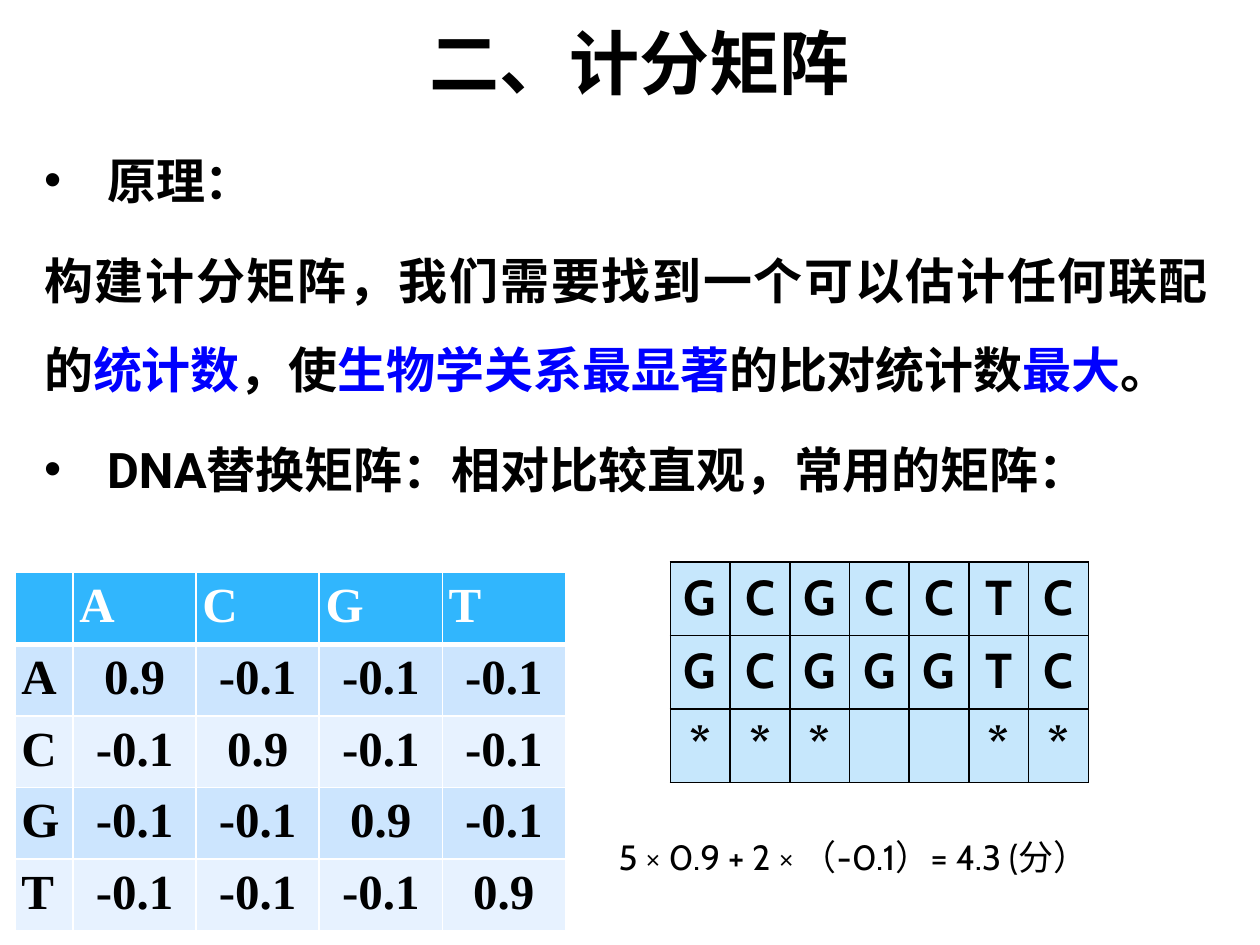
from lxml.etree import SubElement
from pptx import Presentation
from pptx.dml.color import RGBColor
from pptx.enum.text import MSO_ANCHOR, MSO_AUTO_SIZE, PP_ALIGN
from pptx.oxml.ns import qn
from pptx.util import Inches, Pt

BLACK = RGBColor(0x00, 0x00, 0x00)
WHITE = RGBColor(0xFF, 0xFF, 0xFF)
BLUE = RGBColor(0x00, 0x00, 0xFF)
HEADER_BLUE = RGBColor(0x31, 0xB6, 0xFD)
DARK_BAND = RGBColor(0xCC, 0xE5, 0xFE)
LIGHT_BAND = RGBColor(0xE7, 0xF2, 0xFF)
ALIGNMENT_BLUE = RGBColor(0xC6, 0xE7, 0xFC)

deck = Presentation()
deck.slide_width, deck.slide_height = Inches(10), Inches(7.5)
COLUMN = deck.slide_width / 100
ROW = deck.slide_height / 75
MARGIN = Inches(0.05)


def place(left, top, width, height):
    """Turn grid columns and rows into slide lengths."""
    return int(left * COLUMN), int(top * ROW), int(width * COLUMN), int(height * ROW)


def format_cell(cell, text, fill, font, color, align, line_color, line_widths):
    """Line widths are in points, in the order left, right, top, bottom."""
    properties = cell._tc.get_or_add_tcPr()
    for side, width in zip("LRTB", line_widths):
        line = SubElement(properties, qn(f"a:ln{side}"), w=str(Pt(width)))
        SubElement(SubElement(line, qn("a:solidFill")), qn("a:srgbClr"), val=str(line_color))
    cell.fill.solid()
    cell.fill.fore_color.rgb = fill
    cell.margin_left = cell.margin_right = cell.margin_top = cell.margin_bottom = MARGIN
    cell.text = text
    para = cell.text_frame.paragraphs[0]
    para.alignment = align
    para.font.size = Pt(28)
    for span in para.runs:
        span.font.name, span.font.size, span.font.bold = font, Pt(28), True
        span.font.color.rgb = color


page = deck.slides.add_slide(deck.slide_layouts[1])
title, body = page.placeholders
title.left, title.top, title.width, title.height = place(3.8, 0.5, 93.9, 8.2)
body.left, body.top, body.width, body.height = place(3, 9.1, 93.4, 34)
for box in (title, body):
    frame = box.text_frame
    frame.auto_size = MSO_AUTO_SIZE.NONE
    frame.margin_left = frame.margin_right = frame.margin_top = frame.margin_bottom = MARGIN

# Title
title.text_frame.text = "二、计分矩阵"
title.text_frame.vertical_anchor = MSO_ANCHOR.BOTTOM
para = title.text_frame.paragraphs[0]
para.alignment = PP_ALIGN.CENTER
font = para.runs[0].font
font.name, font.size, font.bold = "Times New Roman", Pt(40), True
font.color.rgb = BLACK

# Principle: (bulleted, [(text, color), ...])
points = [
    (True, [("原理：", BLACK)]),
    (False, [
        ("构建计分矩阵，我们需要找到一个可以估计任何联配的", BLACK),
        ("统计数", BLUE),
        ("，使", BLACK),
        ("生物学关系最显著", BLUE),
        ("的比对统计数", BLACK),
        ("最大", BLUE),
        ("。", BLACK),
    ]),
    (True, [("DNA替换矩阵：相对比较直观，常用的矩阵：", BLACK)]),
]
body.text_frame.vertical_anchor = MSO_ANCHOR.TOP
for index, (bulleted, spans) in enumerate(points):
    para = body.text_frame.add_paragraph() if index else body.text_frame.paragraphs[0]
    para.alignment = PP_ALIGN.JUSTIFY
    para.line_spacing, para.space_before = 1.5, Pt(7)
    indent = Inches(0.5) if bulleted else 0
    properties = para._p.get_or_add_pPr()
    properties.set("marL", str(indent))
    properties.set("indent", str(-indent))
    if bulleted:
        SubElement(properties, qn("a:buFont"), typeface="Arial")
        SubElement(properties, qn("a:buChar"), char="•")
    else:
        SubElement(properties, qn("a:buNone"))
    for text, color in spans:
        span = para.add_run()
        span.text = text
        span.font.name, span.font.size, span.font.bold = "Roboto", Pt(28), True
        span.font.color.rgb = color

# Substitution matrix: matches on the diagonal, mismatches elsewhere
bases = "ACGT"
scores = [["", *bases]]
scores += [[base] + ["0.9" if base == other else "-0.1" for other in bases] for base in bases]
matrix = page.shapes.add_table(5, 5, *place(1.2, 45.4, 43.7, 28.4)).table
for index, column in enumerate(matrix.columns):
    column.width = int(COLUMN * (9.77 if index else 4.6))
for row, values in enumerate(scores):
    fill = HEADER_BLUE if row == 0 else DARK_BAND if row % 2 else LIGHT_BAND
    widths = (1, 1, 3 if row == 1 else 1, 3 if row == 0 else 1)
    for column, value in enumerate(values):
        align = PP_ALIGN.CENTER if row and column else PP_ALIGN.LEFT
        format_cell(matrix.cell(row, column), value, fill, "Times New Roman",
                    BLACK if row else WHITE, align, WHITE, widths)

# Example alignment, with an asterisk under each match
first, second = "GCGCCTC", "GCGGGTC"
matches = ["*" if upper == lower else "" for upper, lower in zip(first, second)]
alignment = page.shapes.add_table(3, 7, *place(53.2, 44.6, 33.2, 17.5)).table
for row, values in enumerate((first, second, matches)):
    for column, value in enumerate(values):
        format_cell(alignment.cell(row, column), value, ALIGNMENT_BLUE, "Cabin",
                    BLACK, PP_ALIGN.CENTER, BLACK, (1, 1, 1, 1))

# Score of the example
frame = page.shapes.add_textbox(*place(49.1, 66.3, 46.6, 3.4)).text_frame
frame.word_wrap = True
frame.margin_left = frame.margin_right = frame.margin_top = frame.margin_bottom = 0
frame.text = "5 × 0.9 + 2 × （-0.1）= 4.3 (分）"
font = frame.paragraphs[0].runs[0].font
font.name, font.size = "Cabin", Pt(20)
font.color.rgb = BLACK

deck.save("out.pptx")
